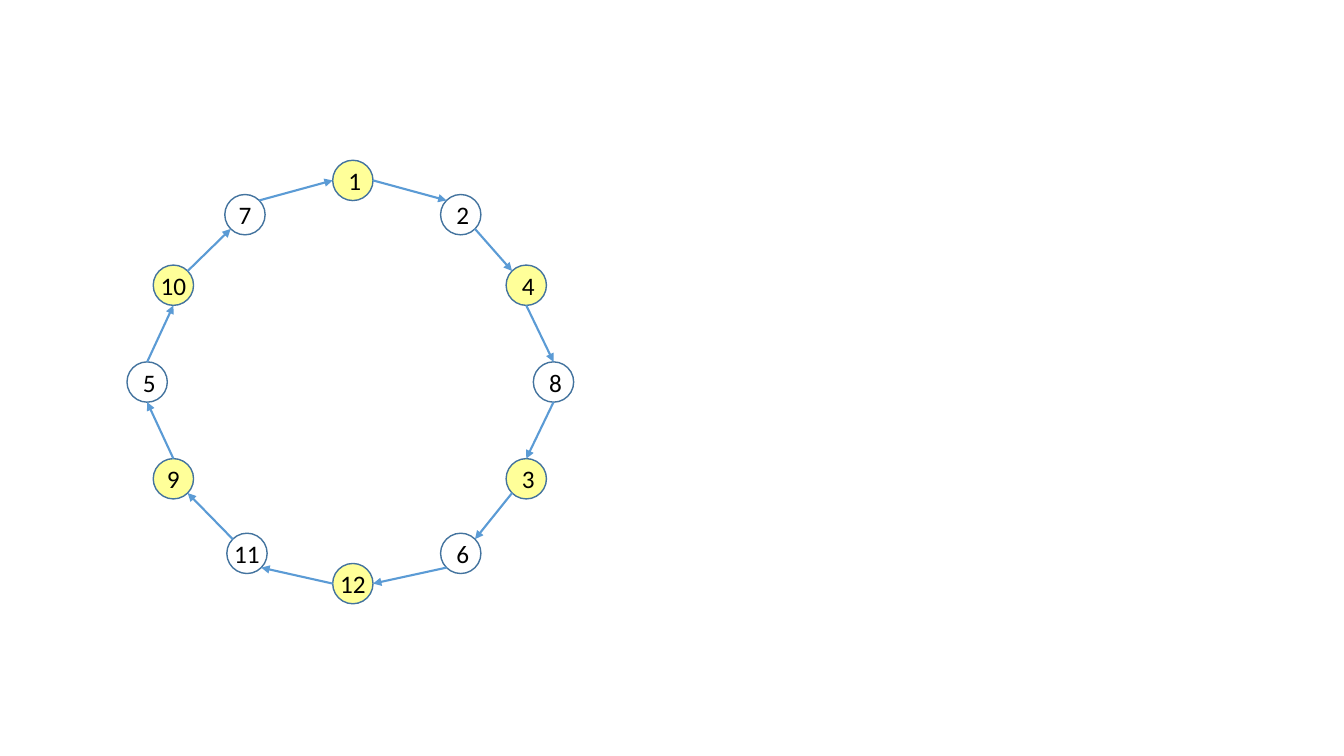
import math
from itertools import cycle

from lxml import etree
from pptx import Presentation
from pptx import util as u
from pptx.dml.color import RGBColor
from pptx.enum import shapes, text
from pptx.oxml.ns import qn

EMU_PER_PX = 9144
DIAMETER = 40
COLORS = {"highlight": "FFFF99", "outline": "43739E", "arrow": "5B9BD5", "text": "000000"}
DIRECTIONS = {
    "N": (0, -1), "NE": (1, -1), "E": (1, 0), "SE": (1, 1),
    "S": (0, 1), "SW": (-1, 1), "W": (-1, 0), "NW": (-1, -1),
}
RING = [
    (1, 330, 159, "W", "E"),
    (2, 437, 193, "NW", "SE"),
    (4, 502, 263, "NW", "S"),
    (8, 529, 359, "N", "S"),
    (3, 502, 455, "N", "SW"),
    (6, 437, 529, "NE", "SW"),
    (12, 330, 559, "E", "W"),
    (11, 225, 529, "SE", "NW"),
    (9, 152, 455, "SE", "N"),
    (5, 126, 359, "S", "N"),
    (10, 152, 263, "S", "NE"),
    (7, 223, 193, "SW", "NE"),
]
NARROW_MARGINS = {7, 9, 10, 11, 12}


def px(value):
    return u.Emu(round(value * EMU_PER_PX))


def color(name):
    return RGBColor.from_string(COLORS[name])


def rim_point(left, top, direction):
    dx, dy = DIRECTIONS[direction]
    radius = DIAMETER / 2
    reach = radius / math.hypot(dx, dy)
    return px(left + radius + dx * reach), px(top + radius + dy * reach)


def add_node(page, number, left, top, highlighted):
    node = page.shapes.add_shape(
        shapes.MSO_SHAPE.OVAL, px(left), px(top), px(DIAMETER), px(DIAMETER))
    node.shadow.inherit = False
    if highlighted:
        node.fill.solid()
        node.fill.fore_color.rgb = color("highlight")
    else:
        node.fill.background()
    node.line.color.rgb = color("outline")
    node.line.width = u.Pt(1)
    frame = node.text_frame
    frame.word_wrap = True
    frame.vertical_anchor = text.MSO_ANCHOR.MIDDLE
    if number in NARROW_MARGINS:
        frame.margin_left = frame.margin_right = 0
    para = frame.paragraphs[0]
    para.alignment = text.PP_ALIGN.CENTER
    span = para.add_run()
    span.text = str(number)
    span.font.name = "Calibri"
    span.font.size = u.Pt(18)
    span.font.color.rgb = color("text")


def add_arrow(page, start, end):
    arrow = page.shapes.add_connector(shapes.MSO_CONNECTOR.STRAIGHT, *start, *end)
    arrow.line.color.rgb = color("arrow")
    arrow.line.width = u.Pt(1.5)
    etree.SubElement(arrow.line._get_or_add_ln(), qn("a:tailEnd"), type="triangle")
    etree.SubElement(arrow._element.spPr, qn("a:effectLst"))


def main():
    deck = Presentation()
    deck.slide_width, deck.slide_height = u.Inches(13.33), u.Inches(7.5)
    page = deck.slides.add_slide(deck.slide_layouts[6])
    for (number, left, top, _, _), highlighted in zip(RING, cycle((True, False))):
        add_node(page, number, left, top, highlighted)
    for source, target in zip(RING, RING[1:] + RING[:1]):
        _, left, top, _, way_out = source
        _, next_left, next_top, way_in, _ = target
        add_arrow(page, rim_point(left, top, way_out), rim_point(next_left, next_top, way_in))
    deck.save("out.pptx")


if __name__ == "__main__":
    main()
